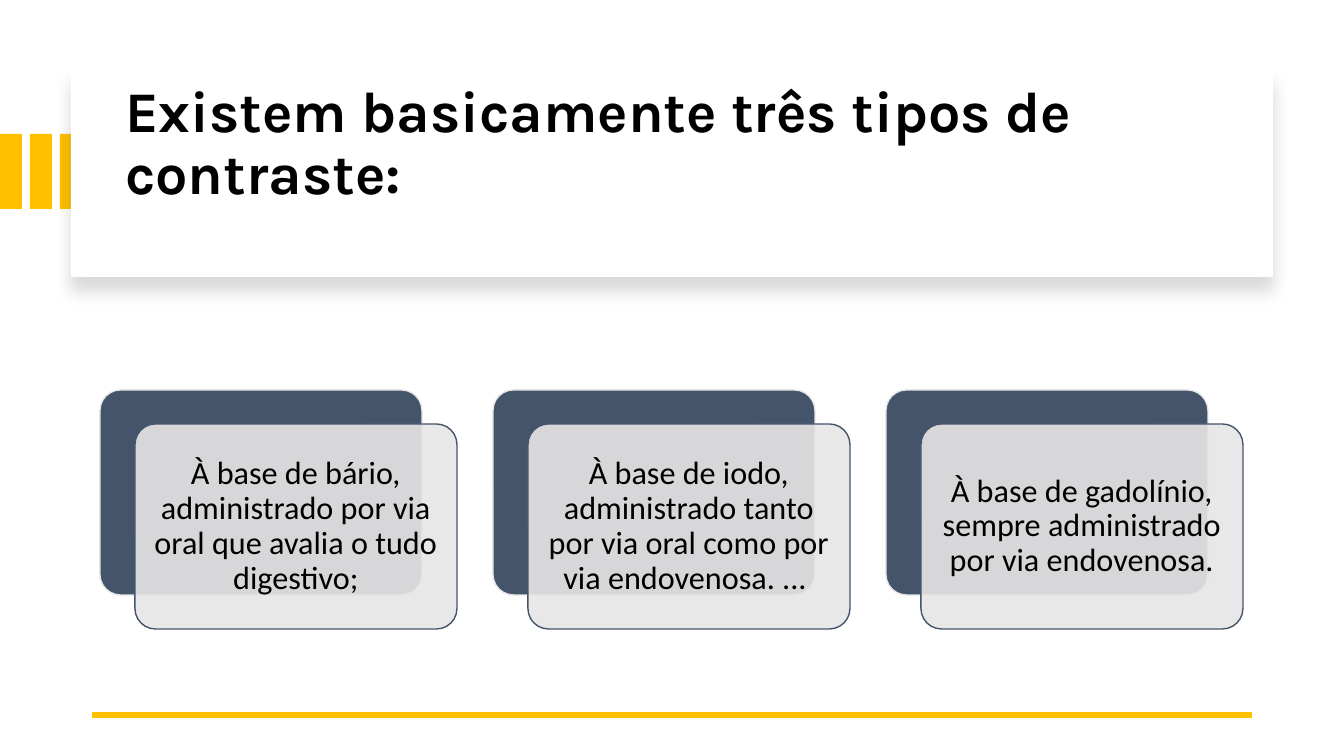
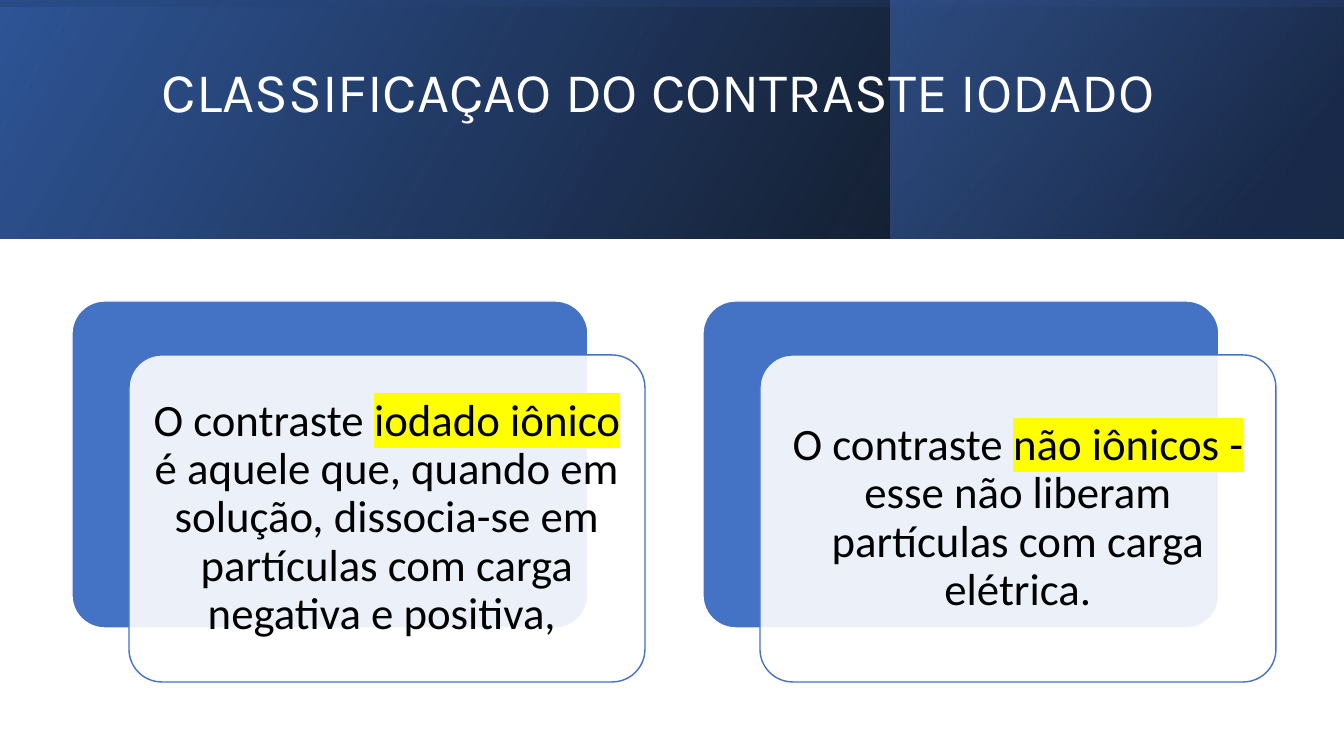
"""Builds two slides on contrast media: a title area above rows of layered cards."""
from dataclasses import dataclass

from lxml import etree
from pptx import Presentation
from pptx import util as u
from pptx.dml.color import RGBColor
from pptx.enum import shapes, text
from pptx.oxml.ns import qn


@dataclass(frozen=True)
class Theme:
    black: str = "000000"
    white: str = "FFFFFF"
    gold: str = "FFC000"
    slate: str = "44546A"
    mist: str = "E7E6E6"
    blue: str = "4472C4"
    deep: str = "2F5597"
    navy: str = "203864"
    marker: str = "FFFF00"
    heading: str = "Karla"
    body: str = "Calibri"
    title_size: int = 41
    banner_size: int = 40
    card_size: int = 23
    large_card_size: int = 32
    leading: float = 0.9


T = Theme()
WIDTH, HEIGHT = 1344, 756
SCALE = 12192000 / WIDTH


def px(*lengths):
    return [u.Emu(round(n * SCALE)) for n in lengths]


def assign(obj, values):
    for name, value in values.items():
        setattr(obj, name, value)


def add_alpha(parent, percent):
    color = parent.find(".//" + qn("a:srgbClr"))
    etree.SubElement(color, qn("a:alpha"), val=str(percent * 1000))


class Deck:
    def __init__(self):
        self.prs = Presentation()
        self.prs.slide_width, self.prs.slide_height = px(WIDTH, HEIGHT)
        self.s = None

    def slide(self):
        self.s = self.prs.slides.add_slide(self.prs.slide_layouts[5])

    def frame(self, tf, align, margin):
        inset, = px(margin)
        assign(tf, dict(word_wrap=True, auto_size=text.MSO_AUTO_SIZE.NONE,
                        vertical_anchor=text.MSO_ANCHOR.MIDDLE,
                        margin_left=inset, margin_right=inset,
                        margin_top=inset, margin_bottom=inset))
        p = tf.paragraphs[0]
        assign(p, dict(alignment=align, line_spacing=T.leading))
        return p

    def run(self, p, words, font, size, color, bold=False, highlight=None):
        r = p.add_run()
        r.text = words
        assign(r.font, dict(name=font, size=u.Pt(size), bold=bold))
        r.font.color.rgb = RGBColor.from_string(color)
        if highlight:
            mark = etree.Element(qn("a:highlight"))
            etree.SubElement(mark, qn("a:srgbClr"), val=highlight)
            r.font._element.find(qn("a:latin")).addprevious(mark)

    def title(self, words, box, size, color, bold=False):
        sp = self.s.shapes.title
        assign(sp, dict(zip(("left", "top", "width", "height"), px(*box))))
        p = self.frame(sp.text_frame, text.PP_ALIGN.LEFT, 5)
        sp.text_frame.margin_left, sp.text_frame.margin_right = px(10, 10)
        self.run(p, words, T.heading, size, color, bold)
        self.s.shapes._spTree.append(sp._element)

    def shape(self, box, fill=None, line=None, rounded=False, alpha=None):
        kind = shapes.MSO_SHAPE
        sp = self.s.shapes.add_shape(
            kind.ROUNDED_RECTANGLE if rounded else kind.RECTANGLE, *px(*box))
        sp.shadow.inherit = False
        if rounded:
            sp.adjustments[0] = 0.1
        if fill:
            sp.fill.solid()
            sp.fill.fore_color.rgb = RGBColor.from_string(fill)
        if alpha:
            add_alpha(sp._element.spPr.find(qn("a:solidFill")), alpha)
        if line:
            sp.line.color.rgb = RGBColor.from_string(line)
            sp.line.width = u.Pt(1)
        else:
            sp.line.fill.background()
        return sp

    def panel(self, box):
        sp = self.shape(box, T.white)
        effects = sp._element.spPr.find(qn("a:effectLst"))
        shadow = etree.SubElement(
            effects, qn("a:outerShdw"), blurRad=str(u.Pt(11)), dist=str(u.Pt(10)),
            dir="5400000", algn="t", rotWithShape="0")
        etree.SubElement(shadow, qn("a:srgbClr"), val=T.black)
        add_alpha(shadow, 15)

    def gradient(self, box, stops, angle, rotation=0):
        sp = self.shape(box)
        sp.rotation = rotation
        sp._element.spPr.find(qn("a:xfrm")).set("flipH", "1")
        sp.fill.gradient()
        sp.fill.gradient_angle = angle
        for stop, (position, color, alpha) in zip(sp.fill.gradient_stops, stops):
            stop.position = position
            stop.color.rgb = RGBColor.from_string(color)
            add_alpha(stop._gs, alpha)

    def rule(self, x1, y1, x2, y2):
        line = self.s.shapes.add_connector(
            shapes.MSO_CONNECTOR.STRAIGHT, *px(x1, y1, x2, y2))
        line.line.color.rgb = RGBColor.from_string(T.gold)
        line.line.width = u.Pt(4.5)
        etree.SubElement(line._element.spPr, qn("a:effectLst"))

    def cards(self, items, box, pitch, dark, light, edge, size, margin):
        left, top, width, height = box
        dx, dy = round(width * 0.11), round(width * 0.105)
        for i, runs in enumerate(items):
            x = left + i * pitch
            self.shape((x, top, width, height), dark, edge, rounded=True)
            sp = self.shape((x + dx, top + dy, width, height), light, dark,
                            rounded=True, alpha=90)
            p = self.frame(sp.text_frame, text.PP_ALIGN.CENTER, margin)
            for words, highlight in runs:
                self.run(p, words, T.body, size, T.black, highlight=highlight)


def main():
    deck = Deck()

    deck.slide()
    for i in range(3):
        deck.shape((i * 30, 134, 22, 75), T.gold)
    deck.panel((71, 68, 1202, 209))
    deck.title("Existem basicamente três tipos de contraste:",
               (115, 59, 1123, 171), T.title_size, T.black, bold=True)
    deck.rule(1252, 715, 92, 715)
    kinds = ["À base de bário, administrado por via oral que avalia o tudo digestivo;",
             "À base de iodo, administrado tanto por via oral como por via endovenosa. ... ",
             "À base de gadolínio, sempre administrado por via endovenosa."]
    deck.cards([[(words, None)] for words in kinds], (100, 390, 322, 205), 393,
               T.slate, T.mist, T.mist, T.card_size, 10)

    deck.slide()
    band = 239
    deck.gradient((0, 0, WIDTH, band), [(0, T.black, 96), (1, T.deep, 100)], 30)
    deck.gradient((891, 0, 452, band), [(0.19, T.navy, 68), (1, T.blue, 48)], 40)
    deck.gradient(((WIDTH - band) / 2, (band - WIDTH) / 2, band, WIDTH),
                  [(0.23, T.deep, 16), (0.99, T.black, 45)], 10, rotation=270)
    deck.title("CLASSIFICAÇAO DO CONTRASTE IODADO",
               (152, 8, 1072, 173), T.banner_size, T.white)
    deck.cards([
        [("O contraste ", None), ("iodado iônico ", T.marker),
         ("é aquele que, quando em solução, dissocia-se em partículas com carga "
          "negativa e positiva, ", None)],
        [("O contraste ", None), ("não iônicos - ", T.marker),
         ("esse não liberam partículas com carga elétrica.", None)],
    ], (72, 301, 516, 327), 631, T.blue, T.white, T.white, T.large_card_size, 13)

    deck.prs.save("out.pptx")


if __name__ == "__main__":
    main()
